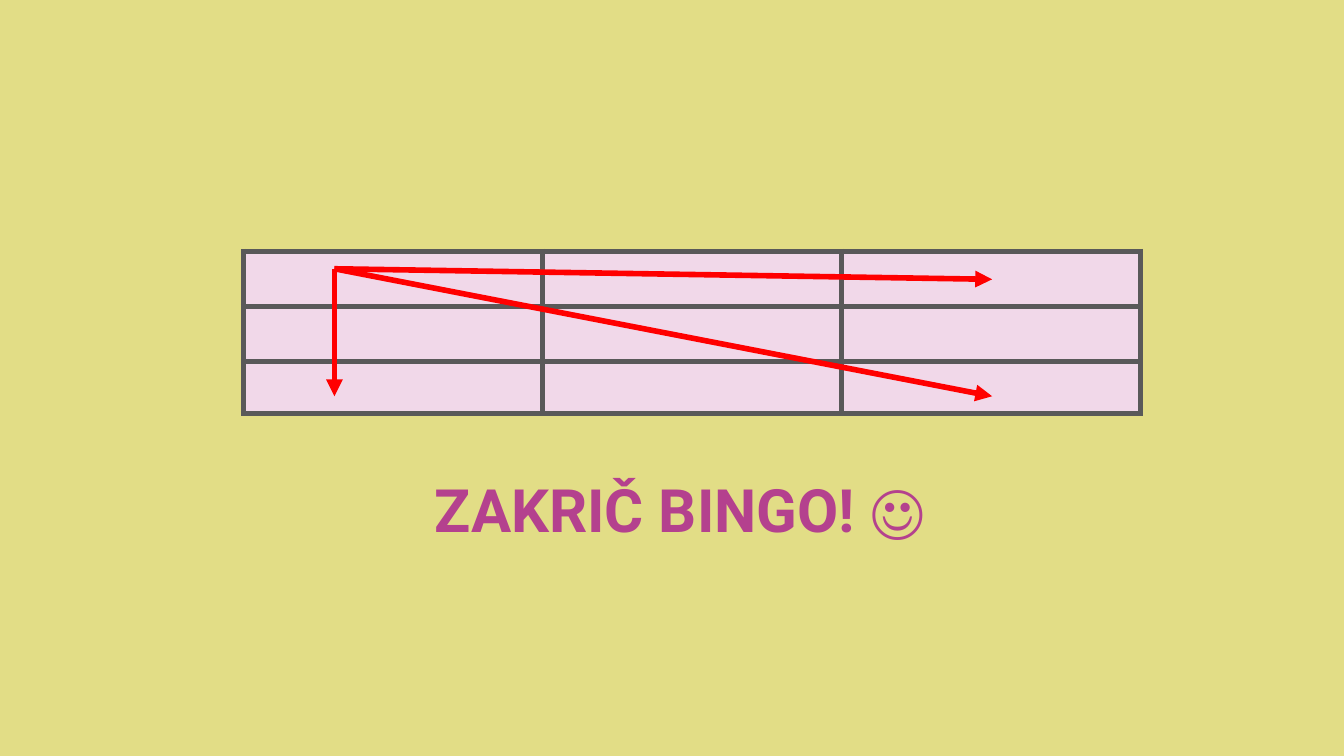
"""Build a bingo slide: a grid, three winning directions and a call to shout."""
from dataclasses import dataclass

from lxml.etree import SubElement
from pptx import Presentation
from pptx.dml.color import RGBColor as Color
from pptx.enum.shapes import MSO_CONNECTOR as Connector
from pptx.enum.text import PP_ALIGN as Align
from pptx.oxml.ns import qn
from pptx.util import Cm, Pt


@dataclass(frozen=True)
class Theme:
    background: Color = Color.from_string("E2DD86")
    cell: Color = Color.from_string("F1D8E9")
    border: Color = Color.from_string("595959")
    arrow: Color = Color.from_string("FF0000")
    title: Color = Color.from_string("B4418E")
    font: str = "Roboto"
    title_size: int = Pt(32)
    stroke: int = Pt(3)


THEME = Theme()
COLUMN_WIDTH = 5.65
ROW_HEIGHTS = (1.04, 1.04, 0.99)
ARROW_START = (6.32, 5.08)
ARROW_ENDS = ((18.75, 7.49), (6.32, 7.49), (18.75, 5.28))


def style_cell(cell):
    cell.margin_top = cell.margin_bottom = 0
    properties = cell._tc.get_or_add_tcPr()
    for side in ("lnL", "lnR", "lnT", "lnB"):
        line = SubElement(properties, qn(f"a:{side}"), w=str(THEME.stroke))
        fill = SubElement(line, qn("a:solidFill"))
        SubElement(fill, qn("a:srgbClr"), val=str(THEME.border))
    cell.fill.solid()
    cell.fill.fore_color.rgb = THEME.cell


def add_grid(page, left, top):
    size = len(ROW_HEIGHTS)
    frame = page.shapes.add_table(size, size, Cm(left), Cm(top),
                                  Cm(COLUMN_WIDTH * size), Cm(sum(ROW_HEIGHTS)))
    table = frame.table
    for column in table.columns:
        column.width = Cm(COLUMN_WIDTH)
    for row, height in zip(table.rows, ROW_HEIGHTS):
        row.height = Cm(height)
    for cell in table.iter_cells():
        style_cell(cell)


def add_call(page, text):
    box = page.shapes.add_textbox(Cm(5.08), Cm(8.69), Cm(15.24), Cm(1.88))
    frame = box.text_frame
    frame.word_wrap = True
    frame.margin_left = frame.margin_right = Cm(0.25)
    frame.margin_top = frame.margin_bottom = Cm(0.25)
    frame.text = text
    para = frame.paragraphs[0]
    para.alignment = Align.CENTER
    indents = para._p.get_or_add_pPr()
    indents.set("marL", str(Cm(1.27)))
    indents.set("indent", str(Cm(-0.97)))
    font = para.runs[0].font
    font.name, font.size, font.bold = THEME.font, THEME.title_size, True
    font.color.rgb = THEME.title


def add_arrow(page, start, end):
    points = [Cm(value) for value in (*start, *end)]
    arrow = page.shapes.add_connector(Connector.STRAIGHT, *points)
    arrow.line.color.rgb = THEME.arrow
    arrow.line.width = THEME.stroke
    SubElement(arrow.line._get_or_add_ln(), qn("a:tailEnd"), type="triangle")
    SubElement(arrow._element.spPr, qn("a:effectLst"))


def main():
    deck = Presentation()
    deck.slide_width, deck.slide_height = Cm(25.4), Cm(14.29)
    page = deck.slides.add_slide(deck.slide_layouts[6])
    page.background.fill.solid()
    page.background.fill.fore_color.rgb = THEME.background
    add_grid(page, 4.6, 4.75)
    add_call(page, "ZAKRIČ BINGO! ☺")
    for end in ARROW_ENDS:
        add_arrow(page, ARROW_START, end)
    deck.save("out.pptx")


if __name__ == "__main__":
    main()
